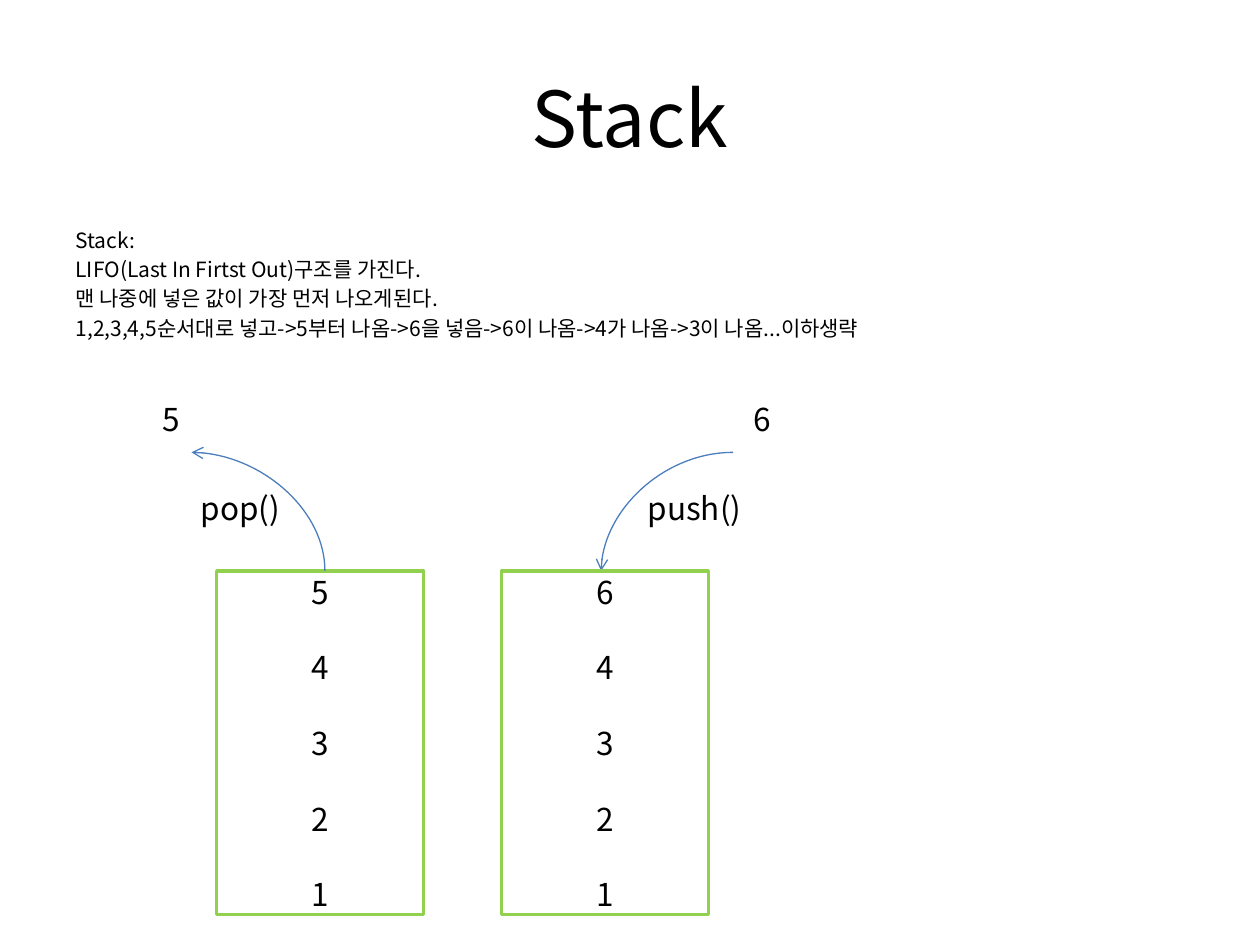
from dataclasses import dataclass

from lxml import etree
from pptx import Presentation
from pptx.dml.color import RGBColor
from pptx.enum.shapes import MSO_CONNECTOR, MSO_SHAPE
from pptx.enum.text import MSO_ANCHOR, PP_ALIGN
from pptx.oxml.ns import qn
from pptx.util import Cm, Pt

CENTER, LEFT = PP_ALIGN.CENTER, PP_ALIGN.LEFT
MIDDLE, TOP = MSO_ANCHOR.MIDDLE, MSO_ANCHOR.TOP
CURVE, RECT = MSO_CONNECTOR.CURVE, MSO_SHAPE.RECTANGLE


@dataclass(frozen=True)
class Theme:
    font: str = "Noto Sans CJK KR"
    ink: RGBColor = RGBColor(0, 0, 0)
    frame: RGBColor = RGBColor(0x92, 0xD0, 0x50)
    arrow: RGBColor = RGBColor(0x4B, 0x7E, 0xBC)
    head: int = 44
    label: int = 18
    note: int = 12
    lead: float = 1.2  # line height per point of type


class Deck:
    def __init__(self, theme, slide):
        self.theme, self.slide = theme, slide

    def place(self, shape, box):
        shape.left, shape.top, shape.width, shape.height = map(Cm, box)

    def letter(self, shape, lines, size, align=CENTER, anchor=MIDDLE, gap=0):
        frame = shape.text_frame
        frame.word_wrap = True
        frame.vertical_anchor = anchor
        for i, line in enumerate(lines):
            para = frame.add_paragraph() if i else frame.paragraphs[0]
            para.alignment = align
            para.line_spacing = Pt(size * self.theme.lead)
            para.space_before = Pt(gap if i else 0)
            run = para.add_run()
            run.text = line
            font = run.font
            font.name, font.size = self.theme.font, Pt(size)
            font.color.rgb = self.theme.ink
            east = etree.SubElement(run._r.get_or_add_rPr(), qn("a:ea"))
            east.set("typeface", self.theme.font)

    def title(self, text, box):
        shape = self.slide.shapes.title
        self.place(shape, box)
        self.letter(shape, [text], self.theme.head)

    def body(self, lines, box):
        shape = self.slide.placeholders[1]
        self.place(shape, box)
        size = self.theme.note
        self.letter(shape, lines, size, LEFT, TOP, size * 0.2)
        for para in shape.text_frame.paragraphs:
            props = para._p.get_or_add_pPr()
            props.set("marL", str(Cm(0.95)))
            props.set("indent", str(-Cm(0.95)))
            etree.SubElement(props, qn("a:buNone"))

    def label(self, text, x, y):
        box = map(Cm, (x, y, 3.76, 1.4))
        self.letter(self.slide.shapes.add_textbox(*box), [text], self.theme.label)

    def stack(self, items, x, y):
        shape = self.slide.shapes.add_shape(RECT, *map(Cm, (x, y, 4.17, 6.93)))
        shape.shadow.inherit = False
        shape.fill.background()
        shape.line.color.rgb = self.theme.frame
        shape.line.width = Pt(2)
        size = self.theme.label
        self.letter(shape, items, size, gap=size * self.theme.lead)

    def curve(self, start, end, upright=False):
        """Quarter bend; an upright one leaves its start vertically."""
        (x1, y1), (x2, y2) = start, end
        if upright:  # turn the ends a quarter about their centre
            mx, my = (x1 + x2) / 2, (y1 + y2) / 2
            x1, y1, x2, y2 = (mx - y1 + my, my + x1 - mx,
                              mx - y2 + my, my + x2 - mx)
        line = self.slide.shapes.add_connector(CURVE, *map(Cm, (x1, y1, x2, y2)))
        line.line.color.rgb = self.theme.arrow
        line.line.width = Pt(0.75)
        props = line._element.spPr
        props.find(qn("a:prstGeom")).set("prst", "curvedConnector2")
        if upright:
            props.find(qn("a:xfrm")).set("rot", str(270 * 60000))
        tip = etree.SubElement(props.find(qn("a:ln")), qn("a:tailEnd"))
        tip.set("type", "arrow")
        etree.SubElement(props, qn("a:effectLst"))


def main():
    prs = Presentation()
    prs.slide_width, prs.slide_height = Cm(25.4), Cm(19.05)
    deck = Deck(Theme(), prs.slides.add_slide(prs.slide_layouts[1]))

    # Title and explanation
    deck.title("Stack", (1.27, 0.76, 22.86, 3.18))
    deck.body([
        "Stack:",
        "LIFO(Last In Firtst Out)구조를 가진다.",
        "맨 나중에 넣은 값이 가장 먼저 나오게된다.",
        "1,2,3,4,5순서대로 넣고->5부터 나옴->6을 넣음->6이 나옴"
        "->4가 나옴->3이 나옴...이하생략",
    ], (1.27, 4.45, 22.86, 12.57))

    # Stack tops and the heights of the row above
    base, bend, call, value = 11.51, 9.12, 9.53, 7.75

    # Pop: 5 leaves the stack
    deck.stack("54321", 4.37, base)
    deck.curve((6.55, base), (3.86, bend), upright=True)
    deck.label("5", 1.57, value)
    deck.label("pop()", 2.97, call)

    # Push: 6 enters the stack
    deck.curve((14.78, bend), (12.12, base))
    deck.label("push()", 12.12, call)
    deck.label("6", 13.49, value)
    deck.stack("64321", 10.11, base)

    prs.save("out.pptx")


if __name__ == "__main__":
    main()
